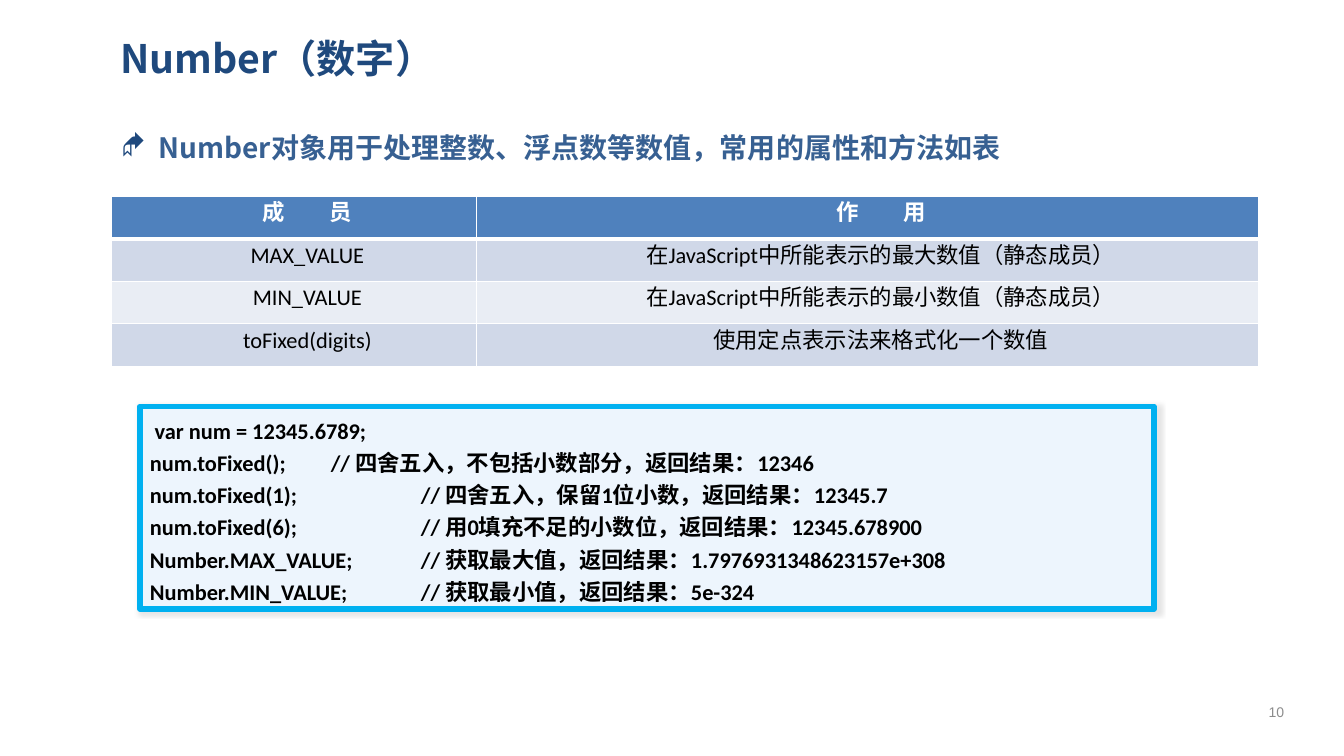
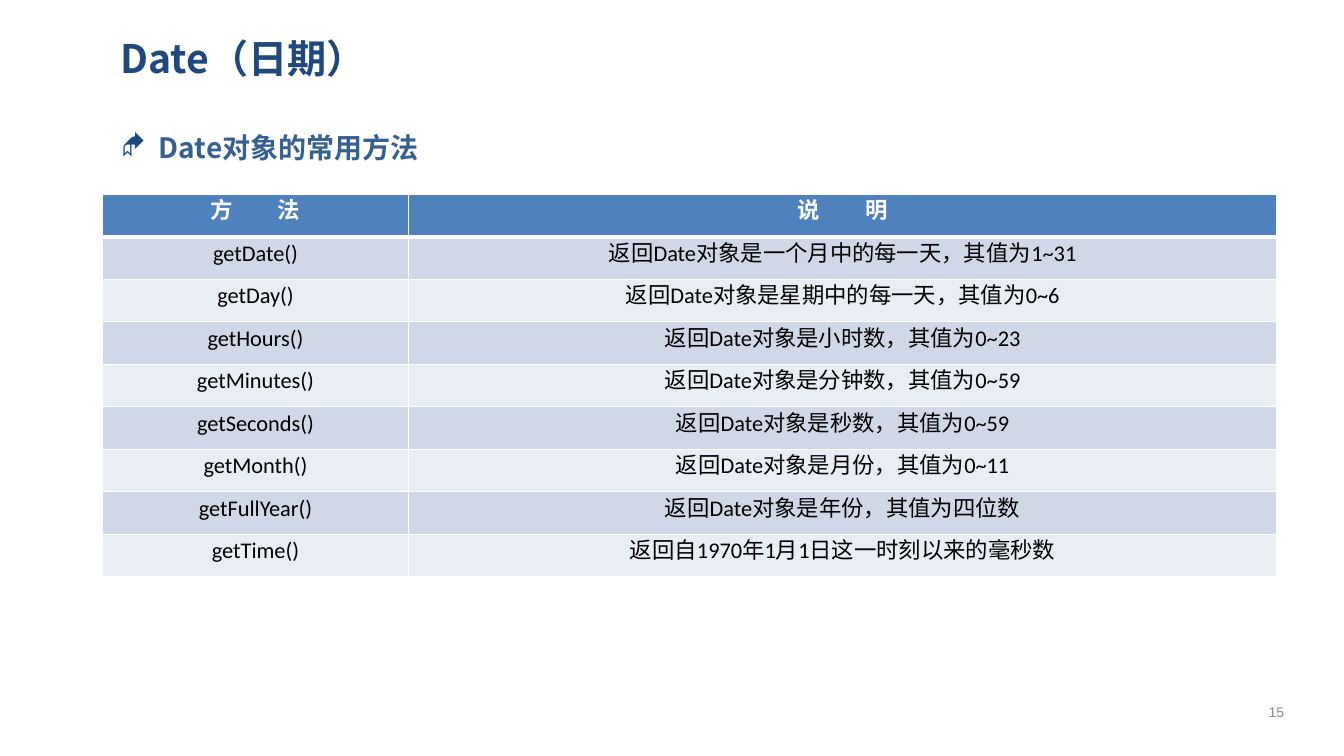
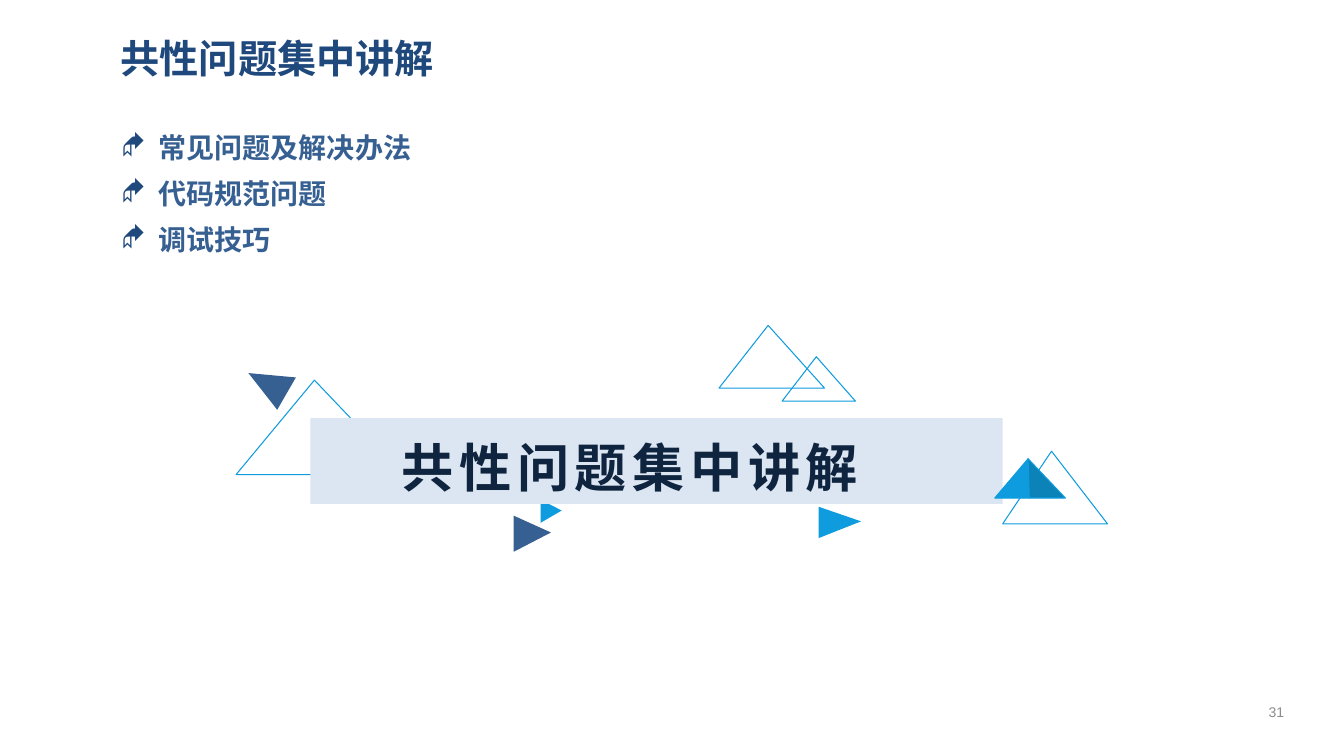
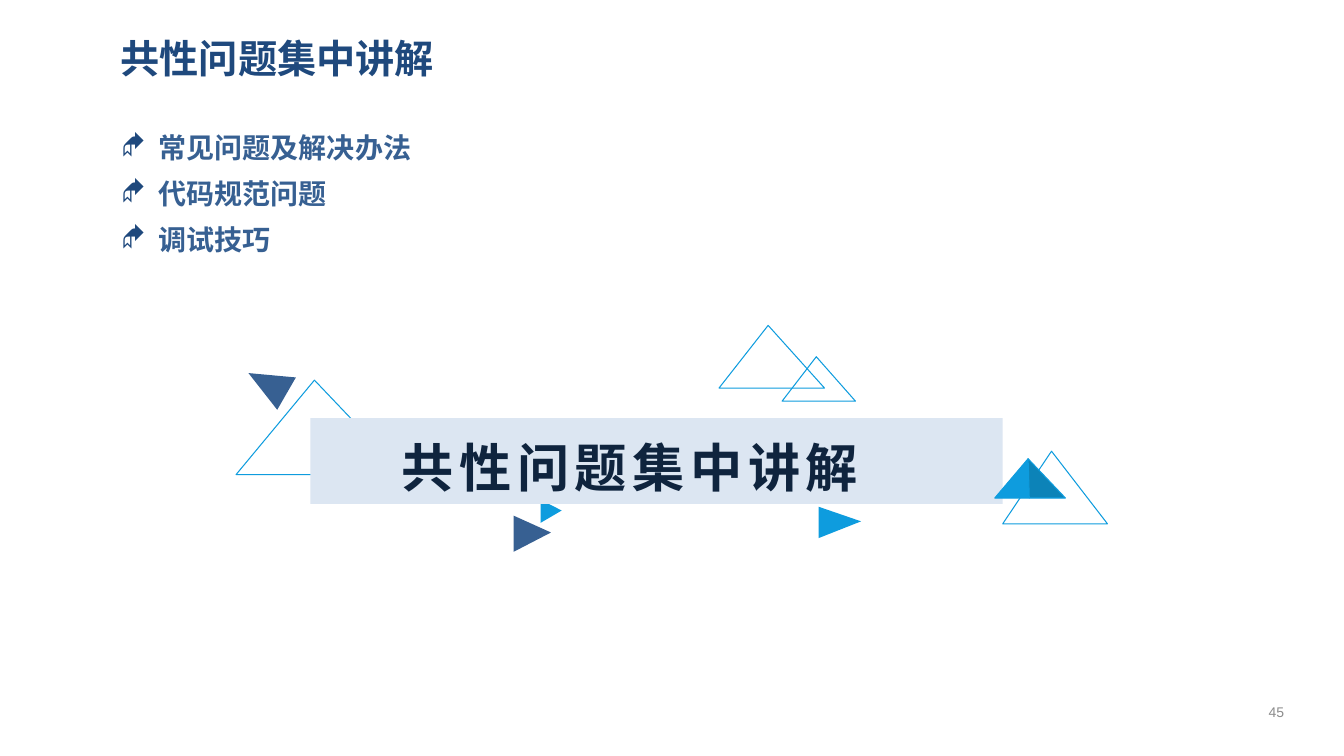
from dataclasses import dataclass
from typing import Any, NamedTuple, Optional, Sequence

import lxml.etree
import pptx
import pptx.dml.color
import pptx.enum.shapes
import pptx.enum.text
import pptx.oxml.ns
import pptx.util

Cm = pptx.util.Cm
Pt = pptx.util.Pt
RGBColor = pptx.dml.color.RGBColor
Align = pptx.enum.text.PP_ALIGN
Anchor = pptx.enum.text.MSO_ANCHOR
Preset = pptx.enum.shapes.MSO_SHAPE
qn = pptx.oxml.ns.qn

NAVY = RGBColor(0x1F, 0x49, 0x7D)
STEEL = RGBColor(0x37, 0x60, 0x92)
MIDNIGHT = RGBColor(0x0F, 0x24, 0x3E)
SKY = RGBColor(0x0E, 0x9C, 0xDE)
DEEP_SKY = RGBColor(0x0C, 0x83, 0xB8)
CYAN = RGBColor(0x00, 0xB0, 0xF0)
ICE = RGBColor(0xED, 0xF5, 0xFD)
BAND_BLUE = RGBColor(0xDC, 0xE6, 0xF2)
HEADER_BLUE = RGBColor(0x4F, 0x81, 0xBD)
ODD_ROW = RGBColor(0xD0, 0xD8, 0xE8)
EVEN_ROW = RGBColor(0xE9, 0xED, 0xF4)
GREY = RGBColor(0x8C, 0x8C, 0x8C)
WHITE = RGBColor(0xFF, 0xFF, 0xFF)
BLACK = RGBColor(0x00, 0x00, 0x00)

HEADING_FONT = "Noto Sans CJK SC"
TEXT_FONT = "Calibri"
NUMBER_FONT = "Arial"
BULLET_FONT = "Wingdings"
ROW_HEIGHT = 1.07
BULLET_INDENT = 0.95
HEADING_GAP = 32


class Box(NamedTuple):
    left: float
    top: float
    width: float
    height: float

    def lengths(self) -> list[pptx.util.Length]:
        return [Cm(value) for value in self]


class Insets(NamedTuple):
    left: float
    top: float
    right: float
    bottom: float


TITLE_BOX = Box(2.81, 0.61, 29.59, 1.7)
BODY_BOX = Box(2.82, 3.03, 29.59, 14.43)
NUMBER_BOX = Box(31.34, 17.42, 1.65, 1.02)
CODE_BOX = Box(3.53, 10.24, 25.55, 5.11)
BAND_BOX = Box(7.82, 10.54, 17.45, 2.16)
FRAME_INSETS = Insets(0.23, 0.1, 0.23, 0.1)
BAND_INSETS = Insets(0.25, 0.43, 1.58, 0.13)
CODE_INSETS = Insets(0.25, 0.13, 0.25, 0.13)
CELL_INSETS = Insets(0.18, 0, 0.18, 0)


@dataclass(frozen=True)
class TextStyle:
    font: str
    size: float
    color: RGBColor
    bold: bool = False
    spacing: float = 0


TITLE_STYLE = TextStyle(HEADING_FONT, 28, NAVY, True)
BODY_STYLE = TextStyle(HEADING_FONT, 20, STEEL, True)
NUMBER_STYLE = TextStyle(NUMBER_FONT, 10, GREY)
BAND_STYLE = TextStyle(HEADING_FONT, 37.3, MIDNIGHT, True, 4)
CODE_STYLE = TextStyle(TEXT_FONT, 16, BLACK, True)
HEADER_STYLE = TextStyle(TEXT_FONT, 16, WHITE, True)
CELL_STYLE = TextStyle(TEXT_FONT, 16, BLACK)


@dataclass(frozen=True)
class MemberTable:
    left: float
    top: float
    column_widths: tuple[float, float]
    headings: tuple[str, str]
    rows: Sequence[tuple[str, str]]
    indent: float = 0


@dataclass(frozen=True)
class CodeLine:
    code: str
    comment: str = ""
    tab: float = 6.83
    indent: float = 0


@dataclass(frozen=True)
class Triangle:
    box: Box
    rotation: float = 0
    fill: Optional[RGBColor] = None


@dataclass(frozen=True)
class Facet:
    corner: float
    fill: RGBColor


NUMBER_TABLE = MemberTable(2.82, 4.95, (9.19, 19.72), ("成员", "作用"), (
    ("MAX_VALUE", "在JavaScript中所能表示的最大数值（静态成员）"),
    ("MIN_VALUE", "在JavaScript中所能表示的最小数值（静态成员）"),
    ("toFixed(digits)", "使用定点表示法来格式化一个数值"),
), 0.66)

DATE_TABLE = MemberTable(2.59, 4.9, (7.7, 21.89), ("方法", "说明"), (
    ("getDate()", "返回Date对象是一个月中的每一天，其值为1~31"),
    ("getDay()", "返回Date对象是星期中的每一天，其值为0~6"),
    ("getHours()", "返回Date对象是小时数，其值为0~23"),
    ("getMinutes()", "返回Date对象是分钟数，其值为0~59"),
    ("getSeconds()", "返回Date对象是秒数，其值为0~59"),
    ("getMonth()", "返回Date对象是月份，其值为0~11"),
    ("getFullYear()", "返回Date对象是年份，其值为四位数"),
    ("getTime()", "返回自1970年1月1日这一时刻以来的毫秒数"),
))

CODE_LINES = (
    CodeLine("var num = 12345.6789;", indent=0.12),
    CodeLine("num.toFixed();", "// 四舍五入，不包括小数部分，返回结果：12346", 4.56),
    CodeLine("num.toFixed(1);", "// 四舍五入，保留1位小数，返回结果：12345.7"),
    CodeLine("num.toFixed(6);", "// 用0填充不足的小数位，返回结果：12345.678900"),
    CodeLine("Number.MAX_VALUE;", "// 获取最大值，返回结果：1.7976931348623157e+308"),
    CodeLine("Number.MIN_VALUE;", "// 获取最小值，返回结果：5e-324"),
)

COMMON_ISSUES = "共性问题集中讲解"
ISSUE_TOPICS = ("常见问题及解决办法", "代码规范问题", "调试技巧")

TRIANGLES = (
    Triangle(Box(5.95, 9.58, 4.24, 2.38)),
    Triangle(Box(25.27, 11.37, 2.64, 1.83)),
    Triangle(Box(13.6, 12.62, 0.58, 0.53), 90, SKY),
    Triangle(Box(6.28, 9.1, 0.94, 1.09), 300, STEEL),
    Triangle(Box(19.71, 8.99, 1.85, 1.12)),
    Triangle(Box(18.12, 8.2, 2.66, 1.58)),
    Triangle(Box(12.96, 12.98, 0.91, 0.94), 90, STEEL),
    Triangle(Box(20.77, 12.63, 0.79, 1.07), 90, SKY),
)
FACETS = (Facet(25.07, SKY), Facet(26.85, DEEP_SKY))
FACET_APEX = (25.91, 11.56)
FACET_FOOT = (25.94, 12.55)


def add_element(parent: Any, tag: str, **attributes: Any) -> Any:
    texts = {name: str(value) for name, value in attributes.items()}
    return lxml.etree.SubElement(parent, qn(tag), texts)


def format_para(para: Any, style: TextStyle, align: Any = Align.LEFT) -> None:
    para.alignment = align
    para.font.size = Pt(style.size)
    para.font.bold = style.bold
    para.font.color.rgb = style.color
    para.font.name = style.font
    defaults = para._p.pPr.find(qn("a:defRPr"))
    add_element(defaults, "a:ea", typeface=style.font)
    if style.spacing:
        defaults.set("spc", str(round(style.spacing * 100)))


def set_insets(frame: Any, insets: Insets) -> None:
    frame.margin_left, frame.margin_top, frame.margin_right, frame.margin_bottom = map(Cm, insets)


def prepare_frame(frame: Any, insets: Insets, anchor: Any) -> None:
    frame.word_wrap = True
    frame.auto_size = pptx.enum.text.MSO_AUTO_SIZE.NONE
    frame.vertical_anchor = anchor
    set_insets(frame, insets)


def place(shape: Any, box: Box) -> None:
    shape.left, shape.top, shape.width, shape.height = box.lengths()


def paint(shape: Any, fill: Optional[RGBColor], line: Optional[RGBColor], width: float = 0.75) -> None:
    shape.shadow.inherit = False
    if fill is None:
        shape.fill.background()
    else:
        shape.fill.solid()
        shape.fill.fore_color.rgb = fill
    if line is None:
        shape.line.fill.background()
    else:
        shape.line.color.rgb = line
        shape.line.width = Pt(width)


def add_page(deck: Any, title: str, topics: Sequence[str], number: int) -> Any:
    page = deck.slides.add_slide(deck.slide_layouts[1])
    heading, body = page.shapes.title, page.placeholders[1]
    place(heading, TITLE_BOX)
    prepare_frame(heading.text_frame, FRAME_INSETS, Anchor.MIDDLE)
    heading.text_frame.text = title
    format_para(heading.text_frame.paragraphs[0], TITLE_STYLE)

    place(body, BODY_BOX)
    prepare_frame(body.text_frame, FRAME_INSETS, Anchor.TOP)
    body.text_frame.text = "\n".join(topics)
    for para in body.text_frame.paragraphs:
        properties = para._p.get_or_add_pPr()
        properties.set("marL", str(Cm(BULLET_INDENT)))
        properties.set("indent", str(Cm(-BULLET_INDENT)))
        add_element(add_element(properties, "a:buClr"), "a:srgbClr", val=NAVY)
        add_element(properties, "a:buFont", typeface=BULLET_FONT, charset=2)
        add_element(properties, "a:buChar", char="◆")
        para.line_spacing = 1.2
        para.space_before = Pt(4)
        format_para(para, BODY_STYLE)

    number_box = page.shapes.add_textbox(*NUMBER_BOX.lengths())
    prepare_frame(number_box.text_frame, FRAME_INSETS, Anchor.MIDDLE)
    number_box.text_frame.text = str(number)
    format_para(number_box.text_frame.paragraphs[0], NUMBER_STYLE, Align.CENTER)
    return page


def set_borders(cell: Any, bottom_width: float) -> None:
    properties = cell._tc.get_or_add_tcPr()
    widths = {"a:lnL": 1, "a:lnR": 1, "a:lnT": 1, "a:lnB": bottom_width}
    for tag, width in widths.items():
        border = add_element(properties, tag, w=Pt(width))
        add_element(add_element(border, "a:solidFill"), "a:srgbClr", val=WHITE)


def fill_cell(cell: Any, text: str, row: int, indent: float) -> None:
    is_header = row == 0
    set_borders(cell, 3 if is_header else 1)
    cell.fill.solid()
    cell.fill.fore_color.rgb = HEADER_BLUE if is_header else ODD_ROW if row % 2 else EVEN_ROW
    cell.vertical_anchor = Anchor.MIDDLE
    set_insets(cell, CELL_INSETS)
    para = cell.text_frame.paragraphs[0]
    for part in text if is_header else [text]:
        para.add_run().text = part
    if is_header:
        para.runs[0]._r.get_or_add_rPr().set("spc", str(HEADING_GAP * 100))
    para._p.get_or_add_pPr().set("indent", str(Cm(indent)))
    para.line_spacing = Pt(13)
    format_para(para, HEADER_STYLE if is_header else CELL_STYLE, Align.CENTER)


def add_member_table(page: Any, content: MemberTable) -> None:
    rows = (content.headings, *content.rows)
    box = Box(content.left, content.top, sum(content.column_widths), ROW_HEIGHT * len(rows))
    table = page.shapes.add_table(len(rows), len(content.headings), *box.lengths()).table
    for column, width in zip(table.columns, content.column_widths):
        column.width = Cm(width)
    for row, texts in enumerate(rows):
        table.rows[row].height = Cm(ROW_HEIGHT)
        for column, text in enumerate(texts):
            fill_cell(table.cell(row, column), text, row, content.indent)


def add_code_box(page: Any, lines: Sequence[CodeLine]) -> None:
    box = page.shapes.add_shape(Preset.RECTANGLE, *CODE_BOX.lengths())
    paint(box, ICE, CYAN, 4)
    effects = box._element.spPr.find(qn("a:effectLst"))
    shadow = add_element(effects, "a:outerShdw", blurRad=Pt(3), dist=0, sx=100500, sy=101000, algn="tl")
    add_element(add_element(shadow, "a:srgbClr", val=BLACK), "a:alpha", val=10000)
    frame = box.text_frame
    prepare_frame(frame, CODE_INSETS, Anchor.TOP)
    frame.text = "\n".join(f"{line.code}\t{line.comment}" if line.comment else line.code for line in lines)
    for para, line in zip(frame.paragraphs, lines):
        properties = para._p.get_or_add_pPr()
        properties.set("indent", str(Cm(line.indent)))
        properties.set("defTabSz", str(Cm(line.tab)))
        para.line_spacing = 1.2
        format_para(para, CODE_STYLE)


def add_triangle(page: Any, triangle: Triangle) -> None:
    shape = page.shapes.add_shape(Preset.ISOSCELES_TRIANGLE, *triangle.box.lengths())
    shape.adjustments[0] = 0.466
    shape.rotation = triangle.rotation
    paint(shape, triangle.fill, None if triangle.fill else SKY)


def add_facet(page: Any, facet: Facet) -> None:
    corner = (facet.corner, FACET_FOOT[1])
    start, *others = [(Cm(left), Cm(top)) for left, top in (corner, FACET_APEX, FACET_FOOT)]
    builder = page.shapes.build_freeform(*start)
    builder.add_line_segments(others, close=True)
    paint(builder.convert_to_shape(), facet.fill, SKY)


def add_banner(page: Any, text: str) -> None:
    for triangle in TRIANGLES:
        add_triangle(page, triangle)
    band = page.shapes.add_shape(Preset.RECTANGLE, *BAND_BOX.lengths())
    paint(band, BAND_BLUE, None)
    prepare_frame(band.text_frame, BAND_INSETS, Anchor.TOP)
    band.text_frame.text = text
    format_para(band.text_frame.paragraphs[0], BAND_STYLE, Align.CENTER)
    for facet in FACETS:
        add_facet(page, facet)


def main() -> None:
    deck = pptx.Presentation()
    deck.slide_width, deck.slide_height = Cm(33.87), Cm(19.05)

    number_page = add_page(deck, "Number（数字）", ["Number对象用于处理整数、浮点数等数值，常用的属性和方法如表"], 10)
    add_member_table(number_page, NUMBER_TABLE)
    add_code_box(number_page, CODE_LINES)

    date_page = add_page(deck, "Date（日期）", ["Date对象的常用方法"], 15)
    add_member_table(date_page, DATE_TABLE)

    for number in (31, 45):
        add_banner(add_page(deck, COMMON_ISSUES, ISSUE_TOPICS, number), COMMON_ISSUES)

    deck.save("out.pptx")


if __name__ == "__main__":
    main()
